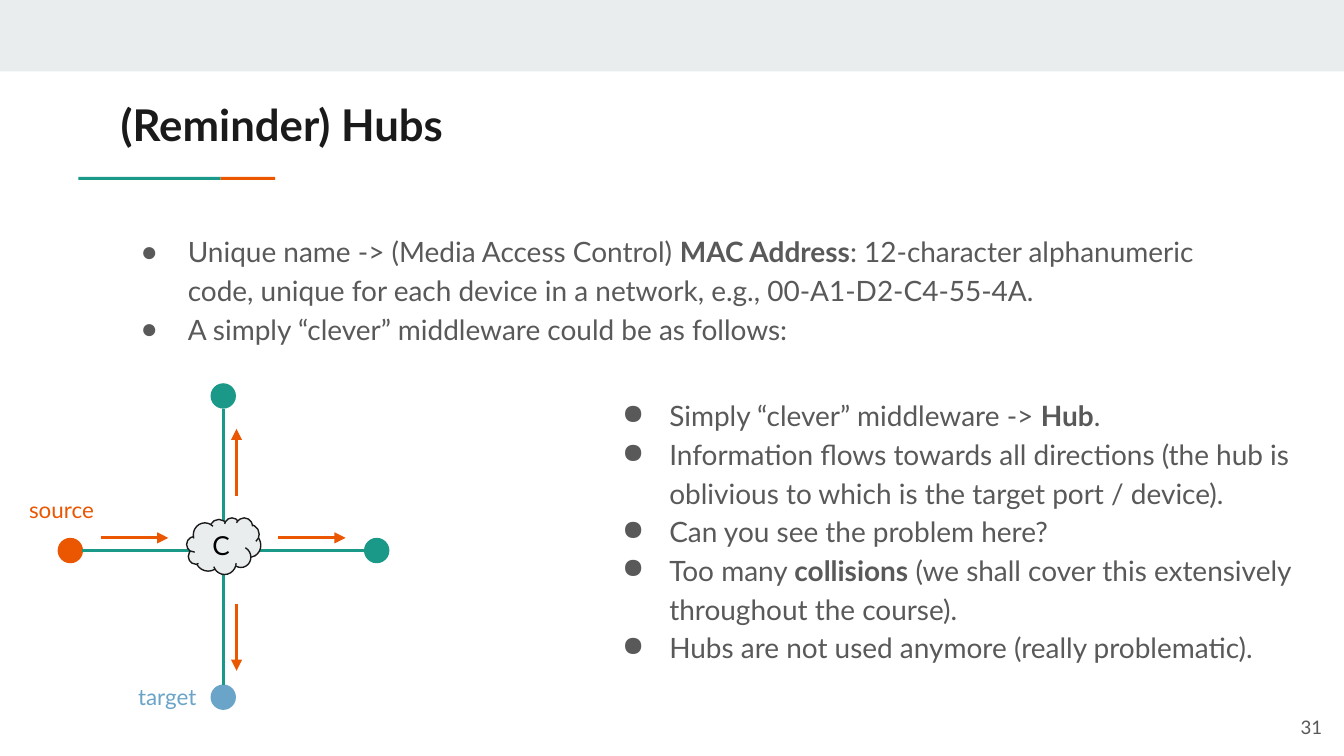
from lxml.etree import SubElement
from pptx import Presentation
from pptx.dml.color import RGBColor
from pptx.enum.shapes import MSO_CONNECTOR as Connector, MSO_SHAPE as Shape
from pptx.enum.text import MSO_ANCHOR as Anchor, MSO_AUTO_SIZE as AutoSize, PP_ALIGN as Align
from pptx.oxml.ns import qn
from pptx.util import Cm, Pt

TEAL, ORANGE, BLUE = "1A9988", "EB5600", "6AA4C8"
PALE, DARK, GREY = "E9EDEE", "1A1A1A", "595959"


def color(hex_code):
    return RGBColor.from_string(hex_code)


def write(box, place, lines, size, hex_code, align=Align.LEFT, anchor=Anchor.TOP, bulleted=False):
    """Place a box and fill it; each line is a list of spans, every second one bold."""
    box.left, box.top, box.width, box.height = [Cm(value) for value in place]
    frame = box.text_frame
    frame.word_wrap = True
    frame.auto_size = AutoSize.NONE
    frame.vertical_anchor = anchor
    frame.margin_left = frame.margin_right = frame.margin_top = frame.margin_bottom = Cm(0.25)
    for number, spans in enumerate(lines):
        para = frame.add_paragraph() if number else frame.paragraphs[0]
        para.alignment = align
        para.space_before = Pt(0)
        if bulleted:
            para.line_spacing = 1.15
            props = para._p.get_or_add_pPr()
            props.set("marL", str(Cm(1.27)))
            props.set("indent", str(-Cm(0.89)))
            SubElement(SubElement(props, qn("a:buClr")), qn("a:srgbClr"), val=GREY)
            SubElement(props, qn("a:buChar"), char="●")
        para.font.name = "Lato"
        para.font.size = Pt(size)
        para.font.color.rgb = color(hex_code)
        for position, text in enumerate(spans):
            span = para.add_run()
            span.text = text
            if position % 2:
                span.font.bold = True


deck = Presentation()
deck.slide_width, deck.slide_height = Cm(25.4), Cm(14.28)
page = deck.slides.add_slide(deck.slide_layouts[1])
shapes = page.shapes

# Top band and the two-colour rule under the title
for left, top, width, height, fill in [
    (0, 0, 25.4, 1.35, PALE),
    (1.48, 3.34, 2.69, 0.06, TEAL),
    (4.17, 3.34, 1.03, 0.06, ORANGE),
]:
    bar = shapes.add_shape(Shape.RECTANGLE, Cm(left), Cm(top), Cm(width), Cm(height))
    bar.shadow.inherit = False
    bar.fill.solid()
    bar.fill.fore_color.rgb = color(fill)
    bar.line.fill.background()

# Title and bullet lists
title, body = shapes.title, page.placeholders[1]
write(title, (2.03, 1.6, 21.36, 1.5), [["(Reminder) Hubs"]], 23.4, DARK, anchor=Anchor.MIDDLE)
title.text_frame.paragraphs[0].font.bold = True
write(body, (2.03, 4.09, 21.36, 2.54), [
    ["Unique name -> (Media Access Control) ", "MAC Address",
     ": 12-character alphanumeric code, unique for each device in a network, "
     "e.g., 00-A1-D2-C4-55-4A."],
    ["A simply “clever” middleware could be as follows:"],
], 15, GREY, bulleted=True)
hub_notes = shapes.add_textbox(0, 0, 0, 0)
write(hub_notes, (11.13, 7.19, 14.33, 5.59), [
    ["Simply “clever” middleware -> ", "Hub", "."],
    ["Information flows towards all directions (the hub is oblivious to which is "
     "the target port / device)."],
    ["Can you see the problem here?"],
    ["Too many ", "collisions", " (we shall cover this extensively throughout the course)."],
    ["Hubs are not used anymore (really problematic)."],
], 15, GREY, bulleted=True)

# Star network: devices, cables, message arrows, hub
NODE = 0.48
for center_x, center_y, fill in [
    (1.33, 10.4, ORANGE), (4.22, 7.48, TEAL), (7.12, 10.4, TEAL), (4.22, 13.17, BLUE),
]:
    device = shapes.add_shape(
        Shape.OVAL, Cm(center_x - NODE / 2), Cm(center_y - NODE / 2), Cm(NODE), Cm(NODE))
    device.shadow.inherit = False
    device.fill.solid()
    device.fill.fore_color.rgb = color(fill)
    device.line.fill.background()

for x1, y1, x2, y2, stroke in [
    (1.55, 10.4, 6.88, 10.4, TEAL),
    (4.22, 7.72, 4.22, 12.93, TEAL),
    (1.9, 10.16, 3.18, 10.16, ORANGE),
    (5.26, 10.16, 6.53, 10.16, ORANGE),
    (4.47, 11.4, 4.47, 12.67, ORANGE),
    (4.47, 9.37, 4.47, 8.1, ORANGE),
]:
    link = shapes.add_connector(Connector.STRAIGHT, Cm(x1), Cm(y1), Cm(x2), Cm(y2))
    link.line.width = Pt(1.5)
    link.line.color.rgb = color(stroke)
    if stroke == ORANGE:
        SubElement(link.line._get_or_add_ln(), qn("a:tailEnd"), type="triangle")
    SubElement(link._element.spPr, qn("a:effectLst"))

hub = shapes.add_shape(Shape.CLOUD, 0, 0, 0, 0)
hub.shadow.inherit = False
hub.fill.solid()
hub.fill.fore_color.rgb = color(PALE)
hub.line.color.rgb = color(DARK)
hub.line.width = Pt(0.75)
write(hub, (3.53, 9.78, 1.4, 1.07), [["C"]], 14, "000000", Align.CENTER, Anchor.MIDDLE)

for name, left, top, hex_code in [("source", 0.3, 9.12, ORANGE), ("target", 2.36, 12.65, BLUE)]:
    write(shapes.add_textbox(0, 0, 0, 0), (left, top, 2.03, 1.02), [[name]], 12, hex_code)

page_number = shapes.add_textbox(0, 0, 0, 0)
write(page_number, (23.72, 13.18, 1.52, 1.09), [["31"]], 10, GREY, Align.RIGHT, Anchor.MIDDLE)

deck.save("out.pptx")
